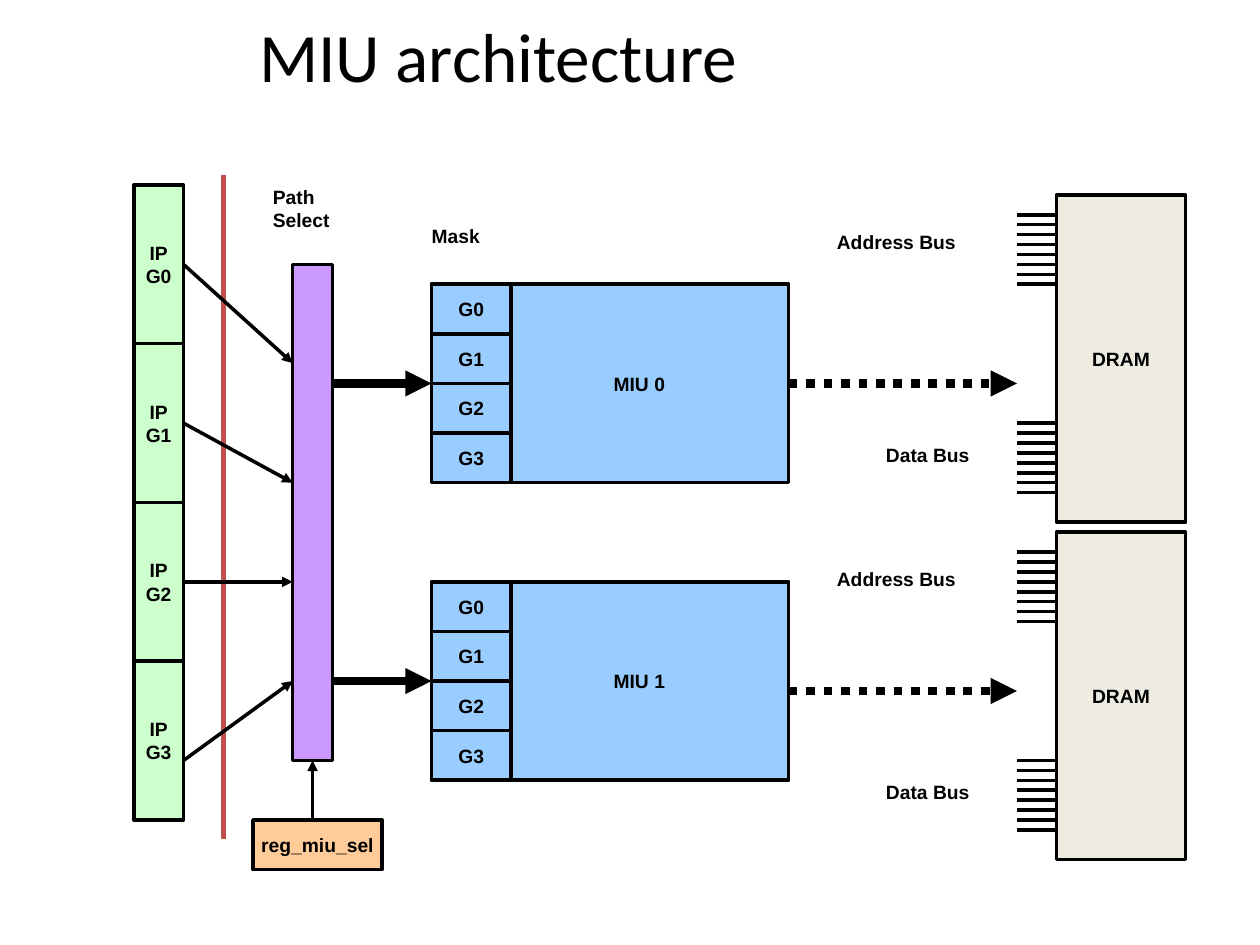
from lxml.etree import SubElement
from pptx import Presentation
from pptx.dml.color import RGBColor
from pptx.enum.dml import MSO_LINE
from pptx.enum.shapes import MSO_CONNECTOR, MSO_SHAPE
from pptx.enum.text import MSO_ANCHOR, PP_ALIGN
from pptx.oxml.ns import qn
from pptx.util import Cm, Pt

deck = Presentation()
deck.slide_width, deck.slide_height = Cm(25.4), Cm(19.05)
shapes = deck.slides.add_slide(deck.slide_layouts[6]).shapes


def block(x, y, w, h, text="", fill=None, edge="000000", align=PP_ALIGN.CENTER,
          size=11, font="Arial", bold=True):
    """Add a labelled rectangle, or a plain text box when edge is None."""
    if edge:
        box = shapes.add_shape(MSO_SHAPE.RECTANGLE, Cm(x), Cm(y), Cm(w), Cm(h))
        box.shadow.inherit = False
        box.line.color.rgb = RGBColor.from_string(edge)
        box.line.width = Pt(2)
    else:
        box = shapes.add_textbox(Cm(x), Cm(y), Cm(w), Cm(h))
    if fill:
        box.fill.solid()
        box.fill.fore_color.rgb = RGBColor.from_string(fill)
    else:
        box.fill.background()
    frame = box.text_frame
    frame.text = text
    frame.word_wrap = False
    frame.vertical_anchor = MSO_ANCHOR.MIDDLE
    frame.margin_left = frame.margin_right = 0
    frame.margin_top = frame.margin_bottom = 0
    for para in frame.paragraphs:
        para.alignment = align
        for run in para.runs:
            run.font.name, run.font.size, run.font.bold = font, Pt(size), bold
            run.font.color.rgb = RGBColor.from_string("000000")
    return box


def wire(x1, y1, x2, y2, width=2, color="000000", arrow=False, dash=None):
    link = shapes.add_connector(MSO_CONNECTOR.STRAIGHT, Cm(x1), Cm(y1), Cm(x2), Cm(y2))
    link.line.color.rgb = RGBColor.from_string(color)
    link.line.width = Pt(width)
    if dash:
        link.line.dash_style = dash
    if arrow:
        SubElement(link.line._get_or_add_ln(), qn("a:tailEnd"), type="triangle")
    SubElement(link._element.spPr, qn("a:effectLst"))
    return link


block(0.43, 0.4, 19.23, 1.4, "MIU architecture", edge=None,
      size=39.6, font="Calibri", bold=False)
wire(4.5, 3.53, 4.5, 16.92, width=3, color="C0504D")

# IP groups, path selector and its register
groups = [block(2.7, 3.73 + 3.2 * i, 1, 3.2, f"IP\nG{i}", "CCFFCC") for i in range(4)]
path = block(5.9, 5.33, 0.8, 10, fill="CC99FF")
block(5.5, 3.73, 1.3, 0.94, "Path\nSelect", edge=None, align=PP_ALIGN.LEFT)
block(8.7, 4.51, 1.1, 0.48, "Mask", edge=None, align=PP_ALIGN.LEFT)
block(5.1, 16.53, 2.6, 1, "reg_miu_sel", "FFCC99")
wire(6.3, 16.53, 6.3, 15.33, arrow=True).end_connect(path, 2)

for i, end in enumerate([7.32, 9.73, 11.73, 13.73]):
    start = 15.33 if i == 3 else 5.33 + 3.2 * i
    link = wire(3.7, start, 5.9, end, arrow=True)
    if i < 3:
        link.begin_connect(groups[i], 3)

# Memory interface units with their masks
for i in range(2):
    top = 5.73 + 6 * i
    mid = top + 2
    miu = block(8.7, top, 7.2, 4, f"MIU {i}", "99CCFF", align=PP_ALIGN.LEFT)
    miu.text_frame.word_wrap = True
    miu.text_frame.margin_left = Cm(3.67)
    for j in range(4):
        block(8.7, top + j, 1.6, 1, f"G{j}")
    wire(6.7, mid, 8.7, mid, width=5, arrow=True).end_connect(miu, 1)
    out = mid + 0.2 * i
    link = wire(15.9, out, 20.5, out, width=5, arrow=True, dash=MSO_LINE.ROUND_DOT)
    if i == 0:
        link.begin_connect(miu, 3)

# DRAM chips with eight address and eight data lines each
for i in range(2):
    top = 3.93 + 6.8 * i
    block(21.3, top, 2.6, 6.6, "DRAM", "EEECE1")
    for first in (top + 0.4, top + 4.6):
        for j in range(8):
            y = first + 0.2 * j
            wire(20.5, y, 21.3, y)
    block(16.87, top + 0.7, 2.6, 0.48, "Address Bus", edge=None, align=PP_ALIGN.LEFT)
    block(17.86, top + 5, 1.9, 0.48, "Data Bus", edge=None, align=PP_ALIGN.LEFT)

deck.save("out.pptx")
